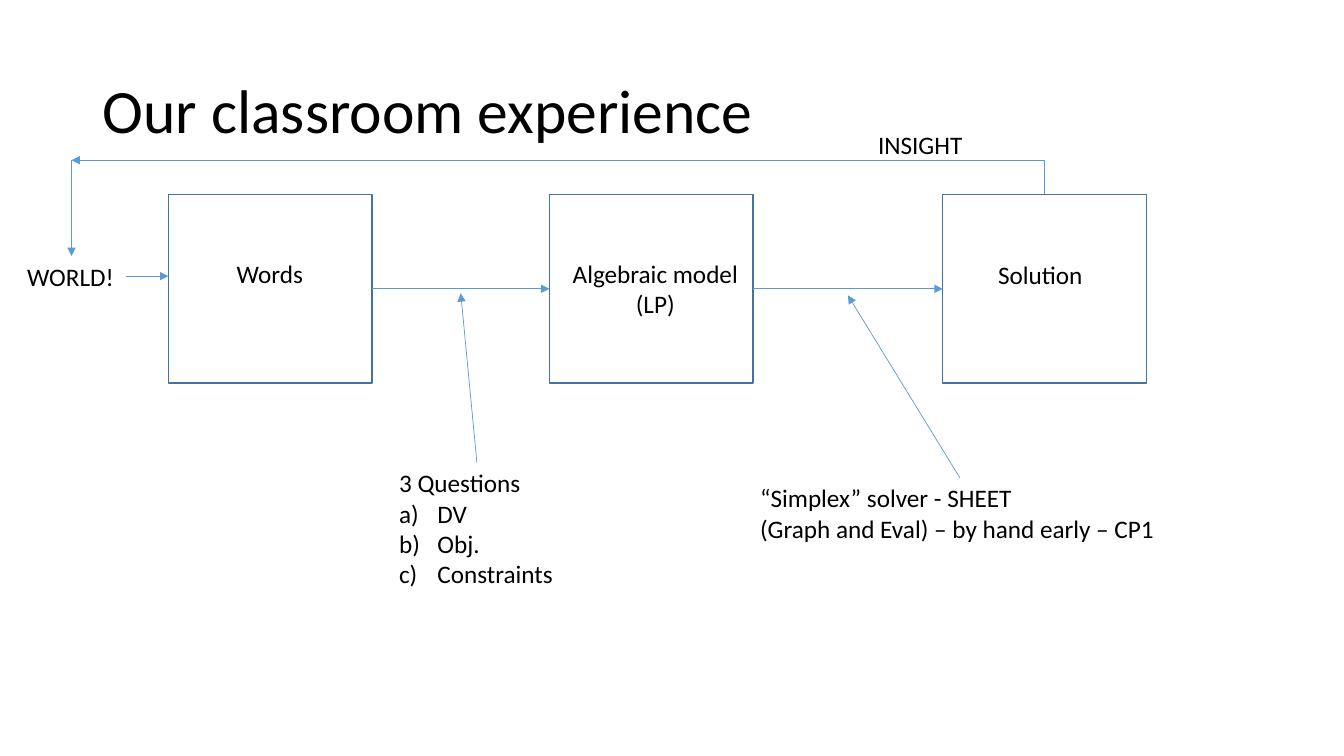
import pptx
import pptx.util
import pptx.dml.color
import pptx.enum.shapes
import pptx.enum.text
import pptx.oxml
import pptx.oxml.ns
from lxml import etree

Inches = pptx.util.Inches
Pt = pptx.util.Pt
RGB = pptx.dml.color.RGBColor
Kind = pptx.enum.shapes.MSO_CONNECTOR
Align = pptx.enum.text.PP_ALIGN
qn = pptx.oxml.ns.qn

BLACK = RGB(0x00, 0x00, 0x00)
BLUE = RGB(0x5B, 0x9B, 0xD5)
EDGE = RGB(0x43, 0x73, 0x9E)


def write(frame, lines, size=18, align=Align.LEFT, space=None, listed=0):
    """Fill a frame; the last `listed` lines become an a), b), c) list."""
    for i, line in enumerate(lines):
        para = frame.paragraphs[0] if i == 0 else frame.add_paragraph()
        para.alignment = align
        if space:
            para.line_spacing = space
        if i >= len(lines) - listed:
            props = para._p.get_or_add_pPr()
            props.set("marL", str(Inches(0.38)))
            props.set("indent", str(-Inches(0.38)))
            etree.SubElement(props, qn("a:buAutoNum"), type="alphaLcParenR")
        run = para.add_run()
        run.text = line
        run.font.name = "Calibri"
        run.font.size = Pt(size)
        run.font.color.rgb = BLACK


class Board:
    def __init__(self, deck):
        self.slide = deck.slides.add_slide(deck.slide_layouts[5])
        self.shapes = self.slide.shapes

    def title(self, text, *area):
        head = self.shapes.title
        head.left, head.top, head.width, head.height = map(Inches, area)
        head.text_frame.vertical_anchor = pptx.enum.text.MSO_ANCHOR.MIDDLE
        write(head.text_frame, [text], size=44, space=0.9)

    def box(self, left):
        rect = self.shapes.add_shape(
            pptx.enum.shapes.MSO_SHAPE.RECTANGLE,
            *map(Inches, (left, 1.93, 2.02, 1.87)))
        rect.shadow.inherit = False
        rect.fill.background()
        rect.line.color.rgb = EDGE
        rect.line.width = Pt(1)
        return rect

    def label(self, lines, *area, **style):
        frame = self.shapes.add_textbox(*map(Inches, area)).text_frame
        frame.word_wrap = False
        frame.auto_size = pptx.enum.text.MSO_AUTO_SIZE.SHAPE_TO_FIT_TEXT
        write(frame, lines, **style)

    def arrow(self, *ends, kind=Kind.STRAIGHT):
        link = self.shapes.add_connector(kind, *map(Inches, ends))
        link.line.color.rgb = BLUE
        link.line.width = Pt(0.5)
        props = link._element.spPr
        etree.SubElement(props.find(qn("a:ln")), qn("a:tailEnd"),
                         type="triangle")
        etree.SubElement(props, qn("a:effectLst"))
        return link

    def join(self, start, end):
        link = self.arrow(0, 0, 1, 1)
        link.begin_connect(start, 3)
        link.end_connect(end, 1)

    def elbow(self, x, y, endx, endy):
        """Go up from the start, then sideways to the end."""
        midx, midy = (x + endx) / 2, (y + endy) / 2
        rise, run = (y - endy) / 2, (x - endx) / 2
        # A one-bend connector, laid out upright and then turned
        link = self.arrow(midx - rise, midy + run, midx + rise, midy - run,
                          kind=Kind.ELBOW)
        props = link._element.spPr
        props.find(qn("a:xfrm")).set("rot", str(270 * 60000))
        props.find(qn("a:prstGeom")).set("prst", "bentConnector2")


def main():
    deck = pptx.Presentation()
    deck.slide_width, deck.slide_height = Inches(13.33), Inches(7.5)
    board = Board(deck)
    board.title("Our classroom experience", 0.92, 0.4, 11.5, 1.45)

    # Three stages, joined left to right
    words, model, answer = [board.box(x) for x in (1.67, 5.45, 9.35)]
    board.join(words, model)
    board.join(model, answer)
    board.label(["Words"], 2.25, 2.51, 0.86, 0.4)
    board.label(["Algebraic model", "(LP)"], 5.57, 2.51, 1.86, 0.71,
                align=Align.CENTER)
    board.label(["Solution"], 9.8, 2.52, 1.05, 0.4)

    # Notes on the two steps
    board.label(["3 Questions", "DV", "Obj.", "Constraints"],
                3.86, 4.59, 1.74, 1.31, listed=3)
    board.arrow(4.73, 4.59, 4.57, 2.91)
    board.label(["“Simplex” solver - SHEET",
                 "(Graph and Eval) – by hand early – CP1"],
                7.44, 4.74, 4.16, 0.71)
    board.arrow(9.52, 4.74, 8.41, 2.93)

    # Loop back to the world
    board.elbow(10.36, 1.93, 0.71, 1.59)
    board.label(["INSIGHT"], 8.61, 1.23, 1.05, 0.4)
    board.label(["WORLD!"], 0.17, 2.54, 1.07, 0.4)
    board.arrow(1.25, 2.74, 1.67, 2.74)
    board.arrow(0.71, 1.59, 0.71, 2.54)

    deck.save("out.pptx")


if __name__ == "__main__":
    main()
